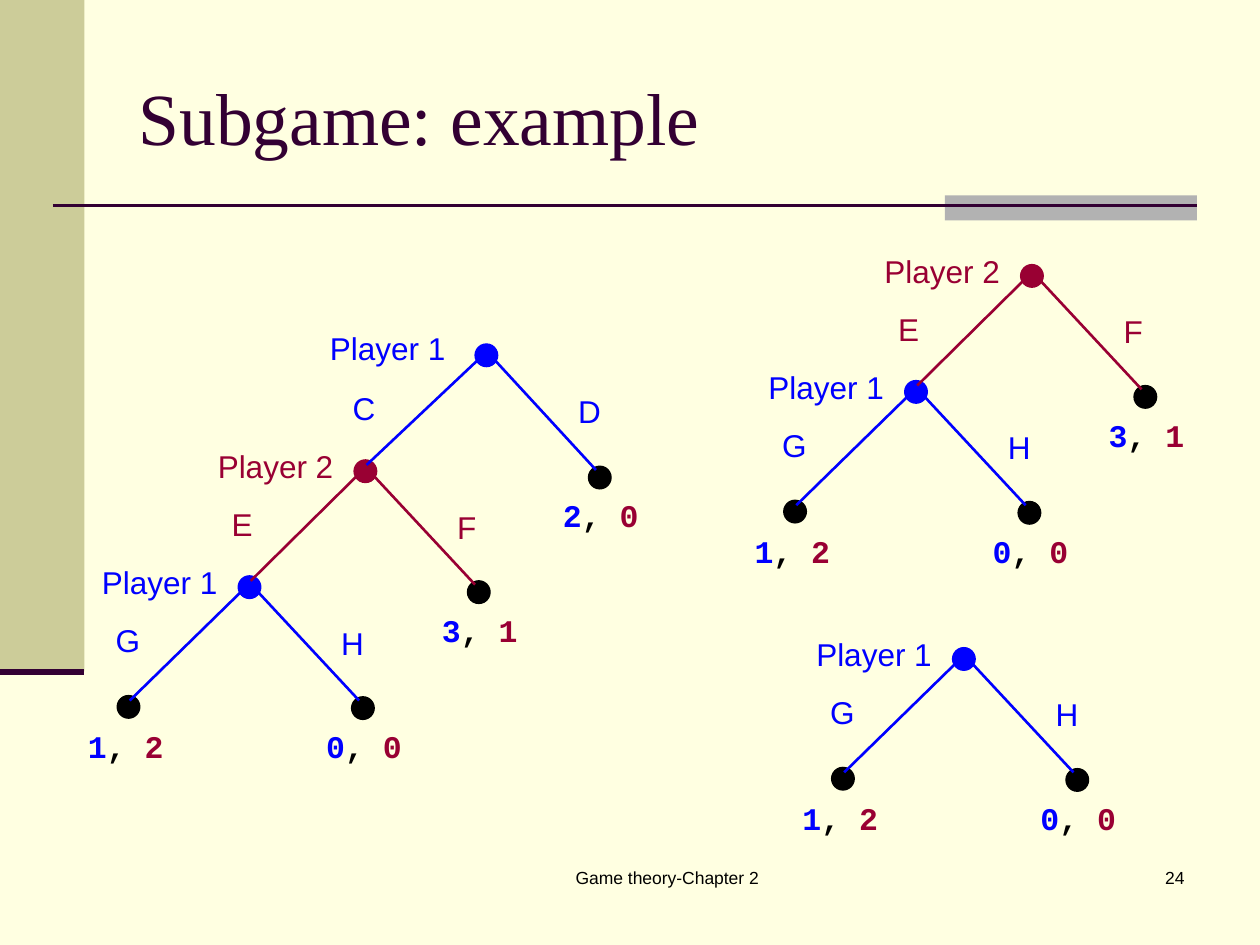
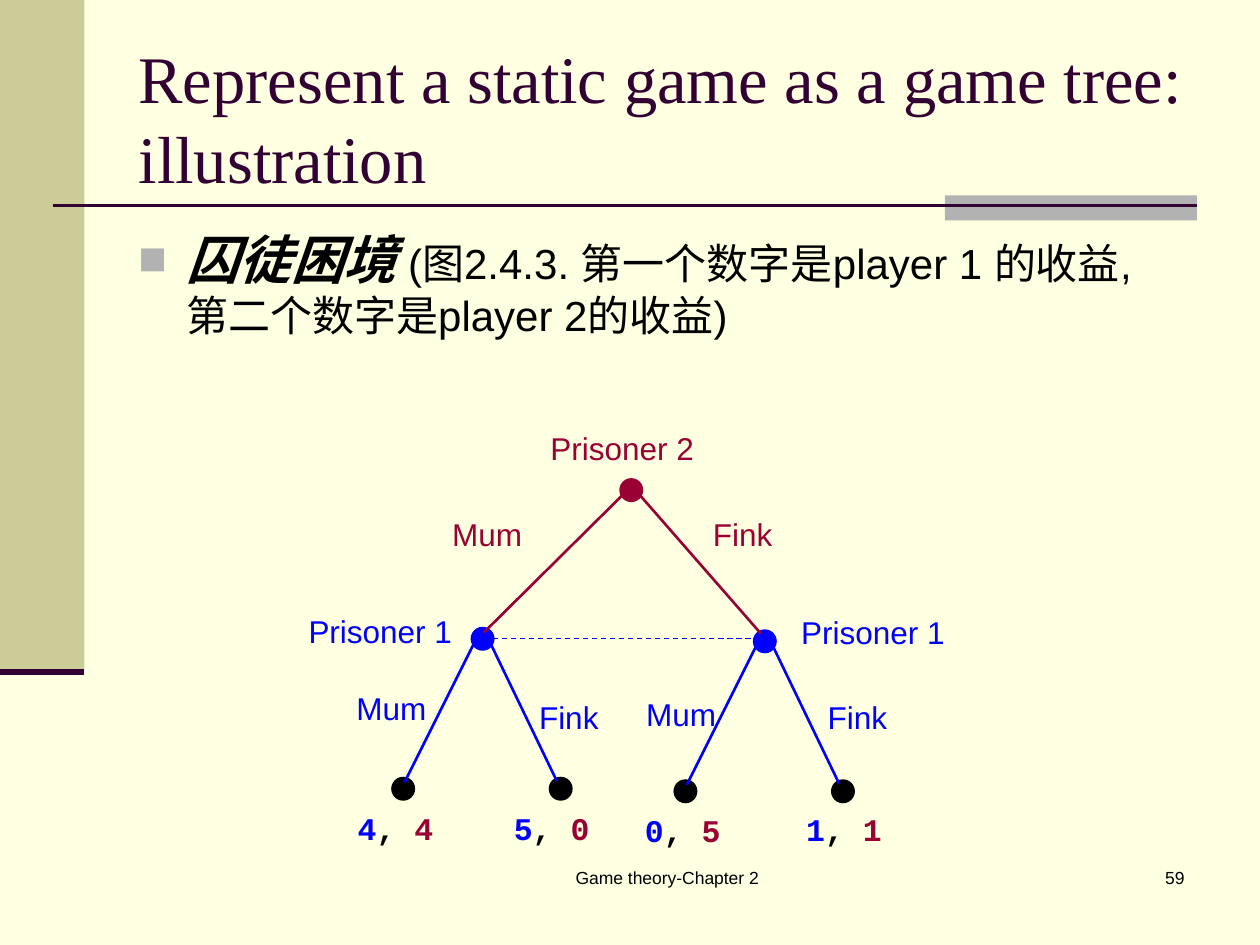
import dataclasses

import pptx
import pptx.dml.color
import pptx.enum.dml
import pptx.enum.shapes
import pptx.enum.text
import pptx.oxml
import pptx.oxml.ns
import pptx.util

Inches = pptx.util.Inches
Pt = pptx.util.Pt
SHAPE = pptx.enum.shapes.MSO_SHAPE
ALIGN = pptx.enum.text.PP_ALIGN
FIT = pptx.enum.text.MSO_AUTO_SIZE
ANCHOR = pptx.enum.text.MSO_ANCHOR

COLORS = {
    "paper": "FFFFE1", "band": "CCCC99", "accent": "B2B2B2", "title": "330033",
    "text": "000000", "first": "0000FF", "second": "990033",
}
TITLE = {"name": "Times New Roman", "bold": False}
FOOTER = {"name": "Arial", "size": Pt(10)}
LABEL = {"name": "Arial", "size": Pt(18)}
PAYOFF = {"name": "Courier New", "size": Pt(18), "bold": True}
TOPIC = {"name": "Arial", "size": Pt(30), "bold": True, "italic": True}
NOTE = {"name": "Arial", "size": Pt(24)}
DOT = 0.18


@dataclasses.dataclass
class Fork:
    """A decision node; every offset is measured from its dot's corner."""
    name: str
    owner: str
    moves: tuple
    kids: tuple
    kid_at: tuple = ((-0.96, 0.95), (0.9, 0.96))
    name_at: tuple = (-1.18, -0.15)
    move_at: tuple = ((-1.07, 0.31), (0.72, 0.33))
    pay_at: tuple = ((-0.33, 0.2), (-0.3, 0.19))
    move_width: float = 0.47


def rgb(key):
    """Return the named colour."""
    return pptx.dml.color.RGBColor.from_string(COLORS[key])


def set_all(obj, values):
    """Set each attribute of obj from a dict."""
    for key, value in values.items():
        setattr(obj, key, value)


def add_run(p, text, fmt, color):
    """Append a formatted run to a paragraph."""
    r = p.add_run()
    r.text = text
    set_all(r.font, fmt)
    r.font.color.rgb = rgb(color)


def add_text(shapes, box, runs, align=ALIGN.LEFT, fit=FIT.NONE):
    """Add a one-paragraph text box and return its paragraph."""
    tf = shapes.add_textbox(*map(Inches, box)).text_frame
    set_all(tf, {"word_wrap": True, "auto_size": fit})
    p = tf.paragraphs[0]
    p.alignment = align
    for run in runs:
        add_run(p, *run)
    return p


def add_shape(shapes, kind, box, color, outlined=False):
    """Add a flat preset shape."""
    sp = shapes.add_shape(kind, *map(Inches, box))
    sp.shadow.inherit = False
    sp.fill.solid()
    sp.fill.fore_color.rgb = rgb(color)
    if outlined:
        sp.line.color.rgb = rgb(color)
        sp.line.width = Pt(0.75)
    else:
        sp.line.fill.background()


def add_line(shapes, start, end, color, width=1.5, dash=None):
    """Add a straight connector without a shadow."""
    straight = pptx.enum.shapes.MSO_CONNECTOR.STRAIGHT
    sp = shapes.add_connector(straight, *map(Inches, (*start, *end)))
    sp.line.color.rgb = rgb(color)
    set_all(sp.line, {"width": Pt(width), "dash_style": dash})
    pptx.oxml.ns.qn("a:effectLst")
    sp.element.spPr.append(pptx.oxml.parse_xml(
        f"<a:effectLst {pptx.oxml.ns.nsdecls('a')}/>"))


def add_frame(prs, title, size, number):
    """Add a slide with its bands, rules, title and footers."""
    s = prs.slides.add_slide(prs.slide_layouts[5])
    add_shape(s.shapes, SHAPE.RECTANGLE, (0, 0, 0.67, 5.33), "band")
    add_shape(s.shapes, SHAPE.RECTANGLE, (7.5, 1.55, 2, 0.2), "accent")
    add_line(s.shapes, (0.42, 1.63), (9.5, 1.63), "title")
    add_line(s.shapes, (0, 5.33), (0.67, 5.33), "title", 3.5)
    add_text(s.shapes, (3.67, 6.83, 3.25, 0.5),
             [("Game theory-Chapter 2", FOOTER, "text")], ALIGN.CENTER)
    add_text(s.shapes, (7.42, 6.83, 2.08, 0.5),
             [(str(number), FOOTER, "text")], ALIGN.RIGHT)
    sp = s.shapes.title
    set_all(sp, {"left": Inches(1), "top": Inches(0.3),
                 "width": Inches(8.5), "height": Inches(1.25)})
    tf = sp.text_frame
    set_all(tf, {"word_wrap": True, "auto_size": FIT.NONE,
                 "vertical_anchor": ANCHOR.MIDDLE})
    tf.paragraphs[0].alignment = ALIGN.LEFT
    add_run(tf.paragraphs[0], title, {**TITLE, "size": Pt(size)}, "title")
    return s


def add_label(shapes, x, y, width, *runs):
    """Add a tree label that grows with its text."""
    add_text(shapes, (x, y, width, 0.4), runs, fit=FIT.SHAPE_TO_FIT_TEXT)


def add_leaf(shapes, x, y, payoffs, offset):
    """Add an end node with both players' payoffs."""
    add_shape(shapes, SHAPE.OVAL, (x, y, DOT, DOT), "text", True)
    first, second = payoffs
    add_label(shapes, x + offset[0], y + offset[1], 0.84,
              (str(first), PAYOFF, "first"), (", ", PAYOFF, "text"),
              (str(second), PAYOFF, "second"))


def add_tree(shapes, x, y, fork):
    """Add a game tree whose root dot has its corner at x, y."""
    starts, ends = ((0.02, 0.13), (0.15, 0.12)), ((0.1, 0.04), (0.06, 0.03))
    spots = [(x + dx, y + dy) for dx, dy in fork.kid_at]
    for kid, spot, offset in zip(fork.kids, spots, fork.pay_at):
        if isinstance(kid, Fork):
            add_tree(shapes, *spot, kid)
        else:
            add_leaf(shapes, *spot, kid, offset)
    add_shape(shapes, SHAPE.OVAL, (x, y, DOT, DOT), fork.owner, True)
    for start, end, spot, move, at in zip(starts, ends, spots, fork.moves, fork.move_at):
        add_line(shapes, (x + start[0], y + start[1]),
                 (spot[0] + end[0], spot[1] + end[1]), fork.owner)
        add_label(shapes, x + at[0], y + at[1], fork.move_width,
                  (move, LABEL, fork.owner))
    add_label(shapes, x + fork.name_at[0], y + fork.name_at[1], 1.42,
              (fork.name, LABEL, fork.owner))


def add_topic(shapes, box):
    """Add the bulleted description of the game."""
    p = add_text(shapes, box, [
        ("囚徒困境 ", TOPIC, "text"),
        ("(图2.4.3. 第一个数字是player 1 的收益, 第二个数字是player 2的收益)", NOTE, "text")])
    pPr = p._p.get_or_add_pPr()
    pPr.set("marL", str(Inches(0.38)))
    pPr.set("indent", str(Inches(-0.38)))
    ns = pptx.oxml.ns.nsdecls("a")
    for xml in (f'<a:buClr {ns}><a:srgbClr val="{COLORS["accent"]}"/></a:buClr>',
                f'<a:buSzPct {ns} val="90000"/>', f'<a:buFont {ns} typeface="Arial"/>',
                f'<a:buChar {ns} char="■"/>'):
        pPr.append(pptx.oxml.parse_xml(xml))


def subgame_slide(prs):
    """Build the game and its two proper subgames."""
    s = add_frame(prs, "Subgame: example", 42, 24)
    last = Fork("Player 1", "first", ("G", "H"), ((1, 2), (0, 0)))
    middle = Fork("Player 2", "second", ("E", "F"), (last, (3, 1)),
                  kid_at=((-0.92, 0.92), (0.9, 0.96)))
    whole = Fork("Player 1", "first", ("C", "D"), (middle, (2, 0)),
                 kid_at=((-0.96, 0.92), (0.9, 0.97)), name_at=(-1.25, -0.17))
    for x, y, fork in ((3.77, 2.73, whole), (8.1, 2.1, middle), (7.56, 5.14, last)):
        add_tree(s.shapes.add_group_shape().shapes, x, y, fork)


def static_game_slide(prs):
    """Build the prisoners' game with its information set."""
    s = add_frame(prs, "Represent a static game as a game tree: illustration", 38, 59)
    add_topic(s.shapes, (1, 1.75, 8.26, 1.3))
    moves = ("Mum", "Fink")
    near = {"kid_at": ((-0.63, 1.19), (0.62, 1.19)), "move_width": 0.78}
    left = Fork("Prisoner 1", "first", moves, ((4, 4), (5, 0)), **near,
                name_at=(-1.39, -0.17), move_at=((-1.01, 0.44), (0.44, 0.51)),
                pay_at=((-0.37, 0.2), (-0.38, 0.2)))
    right = Fork("Prisoner 1", "first", moves, ((0, 5), (1, 1)), **near,
                 name_at=(0.28, -0.18), move_at=((-0.95, 0.47), (0.49, 0.49)))
    root = Fork("Prisoner 2", "second", moves, (left, right), move_width=0.78,
                kid_at=((-1.18, 1.18), (1.06, 1.2)), name_at=(-0.65, -0.44),
                move_at=((-1.43, 0.24), (0.64, 0.24)))
    shapes = s.shapes.add_group_shape().shapes
    add_tree(shapes, 4.92, 3.8, root)
    add_line(shapes, (3.91, 5.07), (6.01, 5.07), "first", 0.75,
             pptx.enum.dml.MSO_LINE.DASH)


def main():
    """Build and save the presentation."""
    prs = pptx.Presentation()
    set_all(prs, {"slide_width": Inches(10), "slide_height": Inches(7.5)})
    fill = prs.slide_master.background.fill
    fill.solid()
    fill.fore_color.rgb = rgb("paper")
    subgame_slide(prs)
    static_game_slide(prs)
    prs.save("out.pptx")


if __name__ == "__main__":
    main()
